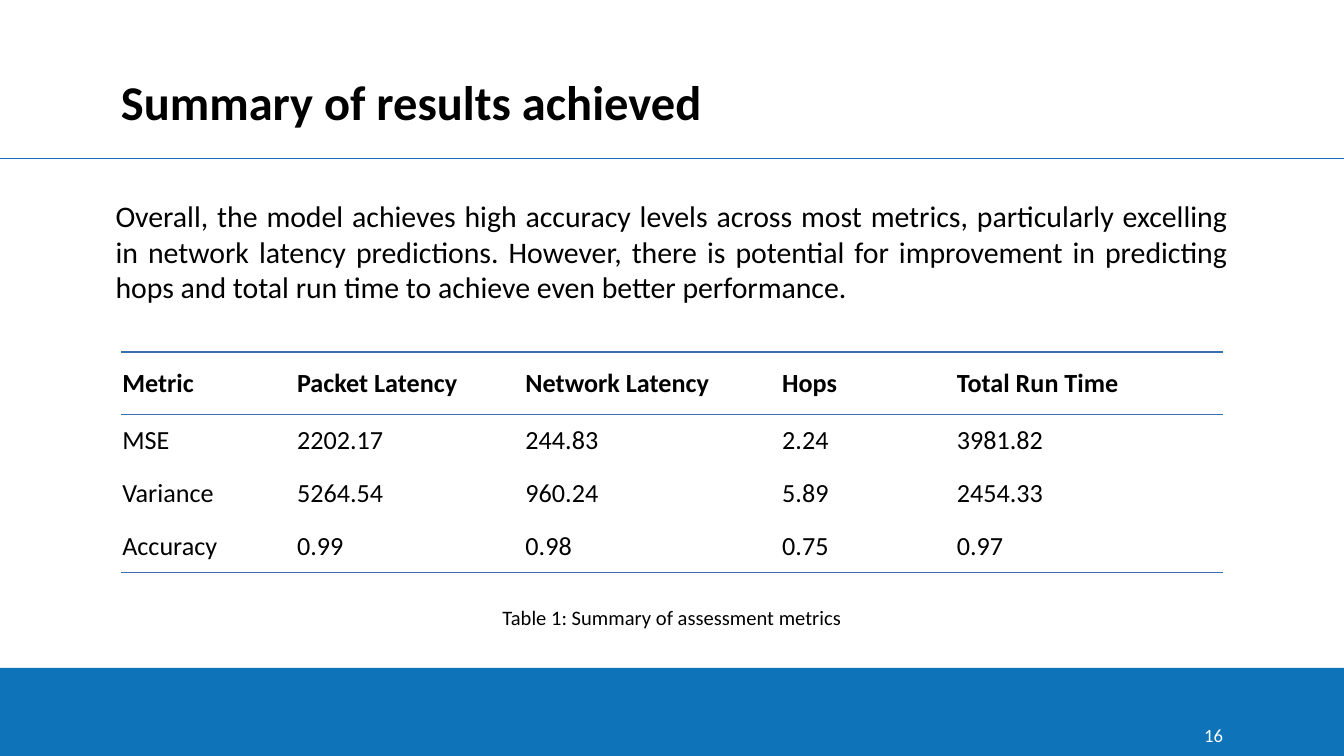
import collections

import lxml.etree
import pptx
import pptx.dml.color
import pptx.enum.shapes
import pptx.enum.text
import pptx.oxml.ns
import pptx.util

Box = collections.namedtuple("Box", "left top width height")
ALIGN = pptx.enum.text.PP_ALIGN
ANCHOR = pptx.enum.text.MSO_ANCHOR
INCH = pptx.util.Inches

WIDTH = 10
HEIGHT = WIDTH * 9 / 16
MARGIN = 0.9
CONTENT = WIDTH - 2 * MARGIN
BAND_TOP = 4.97
COLORS = {"band": "0E73B9", "rule": "3E6DB2", "text": "000000", "light": "FFFFFF"}
COLUMNS = [1.3, 1.7, 1.91, 1.3, 1.99]
ROWS = [0.46, 0.39, 0.39, 0.39]
METRICS = [
    ["Metric", "Packet Latency", "Network Latency", "Hops", "Total Run Time"],
    ["MSE", "2202.17", "244.83", "2.24", "3981.82"],
    ["Variance", "5264.54", "960.24", "5.89", "2454.33"],
    ["Accuracy", "0.99", "0.98", "0.75", "0.97"],
]
SUMMARY = (
    "Overall, the model achieves high accuracy levels across most metrics, "
    "particularly excelling in network latency predictions. However, there is "
    "potential for improvement in predicting hops and total run time to achieve "
    "even better performance."
)


def color(name):
    """Return the named colour of the palette."""
    return pptx.dml.color.RGBColor.from_string(COLORS[name])


def write(holder, text, size=14, bold=False, ink="text", align=ALIGN.LEFT,
          anchor=ANCHOR.TOP, inset=0):
    """Put formatted text into a shape's text frame or a table cell."""
    holder.margin_left = holder.margin_right = INCH(inset)
    holder.margin_top = holder.margin_bottom = INCH(inset)
    holder.vertical_anchor = anchor
    frame = getattr(holder, "text_frame", holder)
    para = frame.paragraphs[0]
    para.alignment = align
    span = para.add_run()
    span.text = text
    span.font.name = "Calibri"
    span.font.size = pptx.util.Pt(size)
    span.font.bold = bold
    span.font.color.rgb = color(ink)


def add_text(page, box, text, wrap=True, **style):
    """Add a text box filling the given box."""
    frame = page.shapes.add_textbox(*map(INCH, box)).text_frame
    frame.word_wrap = wrap
    write(frame, text, **style)


def add_header(page, box):
    """Place the title and the rule along the bottom of the box."""
    title = page.shapes.title
    title.left, title.top = INCH(box.left + MARGIN), INCH(box.top + 0.51)
    title.width, title.height = INCH(box.width - 2 * MARGIN), INCH(0.46)
    title.text_frame.auto_size = pptx.enum.text.MSO_AUTO_SIZE.NONE
    write(title.text_frame, "Summary of results achieved", size=26, bold=True,
          anchor=ANCHOR.BOTTOM)
    bottom = INCH(box.top + box.height)
    rule = page.shapes.add_connector(
        pptx.enum.shapes.MSO_CONNECTOR.STRAIGHT,
        INCH(box.left), bottom, INCH(box.left + box.width), bottom)
    rule.line.color.rgb = color("band")
    rule.line.width = pptx.util.Pt(0.75)
    lxml.etree.SubElement(rule._element.spPr, pptx.oxml.ns.qn("a:effectLst"))


def add_footer(page, box):
    """Place the coloured band with the page number at its right."""
    band = page.shapes.add_shape(
        pptx.enum.shapes.MSO_SHAPE.RECTANGLE, *map(INCH, box))
    band.shadow.inherit = False
    band.fill.solid()
    band.fill.fore_color.rgb = color("band")
    band.line.fill.background()
    number = Box(box.left + box.width - MARGIN - 0.15, box.top + 0.43, 0.15, 0.15)
    add_text(page, number, "16", size=10, ink="light", align=ALIGN.RIGHT,
             anchor=ANCHOR.BOTTOM, wrap=False)


def set_borders(cell, ruled):
    """Draw the ruled sides of a cell and clear the others."""
    props = cell._tc.get_or_add_tcPr()
    for index, side in enumerate("LRTB"):
        line = lxml.etree.Element(pptx.oxml.ns.qn(f"a:ln{side}"), w="12700")
        if side in ruled:
            fill = lxml.etree.SubElement(line, pptx.oxml.ns.qn("a:solidFill"))
            lxml.etree.SubElement(
                fill, pptx.oxml.ns.qn("a:srgbClr"), val=COLORS["rule"])
        else:
            lxml.etree.SubElement(line, pptx.oxml.ns.qn("a:noFill"))
        props.insert(index, line)


def add_metrics(page, box):
    """Place the metrics table, scaled to the box."""
    table = page.shapes.add_table(
        len(ROWS), len(COLUMNS), *map(INCH, box)).table
    table.first_row = table.horz_banding = False
    for column, share in zip(table.columns, COLUMNS):
        column.width = INCH(box.width * share / sum(COLUMNS))
    for row, share in zip(table.rows, ROWS):
        row.height = INCH(box.height * share / sum(ROWS))
    rules = {0: "TB", 1: "T", len(ROWS) - 1: "B"}
    for r, values in enumerate(METRICS):
        for c, value in enumerate(values):
            cell = table.cell(r, c)
            cell.fill.background()
            write(cell, value, bold=r == 0, anchor=ANCHOR.MIDDLE, inset=0.01)
            set_borders(cell, rules.get(r, ""))


def add_body(page, box):
    """Place the summary, the table and its caption down the box."""
    add_metrics(page, Box(box.left, box.top + 1.2, box.width, 1.64))
    add_text(page, Box(box.left - 0.09, box.top, box.width + 0.18, 0.88),
             SUMMARY, size=16, align=ALIGN.JUSTIFY, inset=0.05)
    add_text(page, Box(box.left + (box.width - 2.91) / 2, box.top + 3.08, 2.91, 0.15),
             "Table 1: Summary of assessment metrics", size=11, align=ALIGN.CENTER)


def main():
    """Build the results slide and save it."""
    deck = pptx.Presentation()
    deck.slide_width, deck.slide_height = INCH(WIDTH), INCH(HEIGHT)
    page = deck.slides.add_slide(deck.slide_layouts[5])
    add_footer(page, Box(0, BAND_TOP, WIDTH, HEIGHT - BAND_TOP))
    add_header(page, Box(0, 0, WIDTH, 1.18))
    add_body(page, Box(MARGIN, 1.42, CONTENT, 3.3))
    deck.save("out.pptx")


if __name__ == "__main__":
    main()
